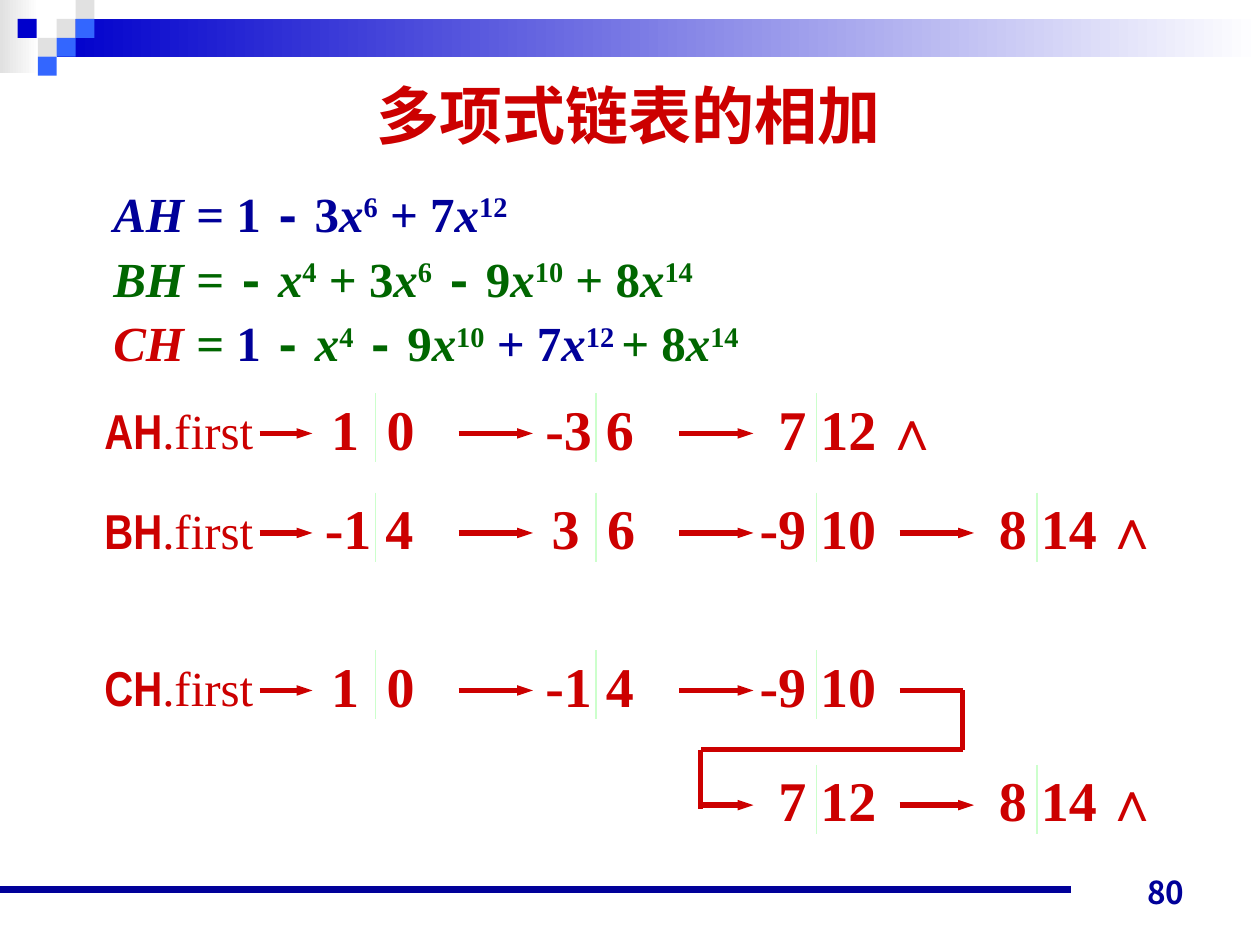
from dataclasses import dataclass
from itertools import pairwise

from lxml.etree import SubElement
from pptx import Presentation
from pptx.dml.color import RGBColor as Rgb
from pptx.enum.shapes import MSO_CONNECTOR as Conn, MSO_SHAPE as Shape
from pptx.enum.text import MSO_ANCHOR as Anchor, MSO_AUTO_SIZE as Auto, PP_ALIGN as Align
from pptx.oxml.ns import qn
from pptx.util import Pt


@dataclass(frozen=True)
class Theme:
    """Colours, fonts and type sizes of the deck."""
    red: str = "CC0000"
    green: str = "006600"
    navy: str = "000099"
    blue: str = "0000CC"
    sky: str = "3366FF"
    grey: str = "E1E1E1"
    mint: str = "CCFFCC"
    white: str = "FFFFFF"
    serif: str = "Times New Roman"
    sans: str = "Arial"
    slim: str = "Arial Narrow"
    mono: str = "Courier New"
    cjk: str = "Noto Sans CJK JP"
    title: int = 36
    node: int = 32
    body: int = 28
    page: int = 18


T = Theme()
SCALE = 9144
PITCH = 175
NODE = {(False, False): (-45, 95), (True, False): (-50, 100),
        (True, True): (-55, 120), (False, True): (-40, 105)}
STYLE = {"n": {}, "i": {"italic": True}, "s": {"base": 30}, "m": {"font": T.mono}}
SUMS = [
    [(T.navy, "i:AH|n: = 1 |m:-|n: 3|i:x|s:6|n: + 7|i:x|s:12")],
    [(T.green, "i:BH|n: = |m:-|n: |i:x|s:4|n: + 3|i:x|s:6|n: |m:-|n: 9|i:x|s:10|n: + 8|i:x|s:14")],
    [(T.red, "i:CH "), (T.green, "n:= "), (T.navy, "n:1 "),
     (T.green, "m:-|n: |i:x|s:4|n: |m:-|n: 9|i:x|s:10"),
     (T.navy, "n: + 7|i:x|s:12 "), (T.green, "n:+ 8|i:x|s:14")],
]


def px(*vals):
    """Turn px lengths into EMU."""
    return [round(v * SCALE) for v in vals]


def write(para, text, size=T.body, color=T.red, font=T.serif, bold=True, italic=False, base=0):
    """Add one formatted run to a paragraph."""
    run = para.add_run()
    run.text = text
    face = run.font
    face.size, face.name, face.bold, face.italic = Pt(size), font, bold, italic
    face.color.rgb = Rgb.from_string(color)
    props = run._r.get_or_add_rPr()
    if base:
        props.set("baseline", str(base * 1000))
    if font in (T.sans, T.cjk):
        SubElement(props, qn("a:ea")).set("typeface", T.cjk)


def label(slide, box, wrap=False, anchor=Anchor.TOP):
    """Add a text box and return its first paragraph."""
    frame = slide.shapes.add_textbox(*px(*box)).text_frame
    frame.word_wrap, frame.vertical_anchor = wrap, anchor
    return frame.paragraphs[0]


def block(slide, box, *fill):
    """Add a plain rectangle with a solid or two-stop fill."""
    shape = slide.shapes.add_shape(Shape.RECTANGLE, *px(*box))
    shape.shadow.inherit = False
    shape.line.fill.background()
    if len(fill) == 1:
        shape.fill.solid()
        shape.fill.fore_color.rgb = Rgb.from_string(fill[0])
        return
    shape.fill.gradient()
    shape.fill.gradient_angle = 0
    for stop, color in zip(shape.fill.gradient_stops, fill):
        stop.color.rgb = Rgb.from_string(color)


def line(slide, start, end, color=T.red, width=3, head=False):
    """Draw a straight line, with a slim arrowhead if asked."""
    link = slide.shapes.add_connector(Conn.STRAIGHT, *px(*start, *end))
    link.line.color.rgb = Rgb.from_string(color)
    link.line.width = Pt(width)
    if head:
        tip = SubElement(link.line._get_or_add_ln(), qn("a:tailEnd"))
        tip.set("type", "triangle")
        tip.set("w", "sm")
    SubElement(link._element.spPr, qn("a:effectLst"))


def banner(slide, x, y):
    """Draw the top bar and its mosaic of squares."""
    block(slide, (x, y, 31, 58), T.grey, T.white)
    block(slide, (x + 45, y + 15, 955, 30), T.blue, T.white)
    for col, row, color in [(3, 1, T.grey), (4, 0, T.grey), (4, 1, T.sky), (2, 2, T.grey),
                            (1, 1, T.blue), (3, 2, T.sky), (2, 3, T.sky)]:
        block(slide, (x + 15 * col - (col == 1), y + 15 * row, 15, 15), color)


def footer(slide, x, y):
    """Draw the bottom rule and the page number."""
    line(slide, (x, y), (x + 850, y), T.navy, 4.5)
    para = label(slide, (x + 717, y - 28, 233, 50), True, Anchor.BOTTOM)
    para.alignment = Align.RIGHT
    write(para, "80", size=T.page, color=T.navy, font=T.cjk)


def place(shape, box):
    """Move a placeholder and return its text frame."""
    shape.left, shape.top, shape.width, shape.height = px(*box)
    frame = shape.text_frame
    frame.word_wrap, frame.auto_size = True, Auto.NONE
    return frame


def heading(slide, box):
    """Fill the title placeholder."""
    frame = place(slide.shapes.title, box)
    frame.vertical_anchor = Anchor.MIDDLE
    para = frame.paragraphs[0]
    para.alignment = Align.CENTER
    write(para, "多项式链表的相加", size=T.title, font=T.sans)


def formulas(slide, box):
    """Fill the body placeholder with the polynomials."""
    frame = place(slide.placeholders[1], box)
    for num, parts in enumerate(SUMS):
        para = frame.add_paragraph() if num else frame.paragraphs[0]
        para.line_spacing, para.space_before = 1.1, Pt(0)
        props = para._p.get_or_add_pPr()
        props.set("marL", str(px(38)[0]))
        props.set("indent", str(px(-38)[0]))
        SubElement(props, qn("a:buNone"))
        for color, text in parts:
            for part in text.split("|"):
                kind, word = part.split(":")
                write(para, word, color=color, **STYLE[kind])


def node(slide, x, y, coef, exp):
    """Place one term around its divider at x."""
    line(slide, (x, y), (x, y + 55), T.mint, 0.75)
    neg, wide = coef < 0, exp > 9
    shift, width = NODE[neg, wide]
    para = label(slide, (x + shift, y - 4, width, 63))
    gap = " " if neg or wide else "\t"
    if gap == "\t":
        tabs = SubElement(para._p.get_or_add_pPr(), qn("a:tabLst"))
        tab = SubElement(tabs, qn("a:tab"))
        tab.set("pos", str(px(44)[0]))
        tab.set("algn", "l")
    write(para, f"{coef}{gap}{exp}", size=T.node)


def chain(slide, x, y, terms, name="", ends=True):
    """Draw a linked list whose first divider is at x."""
    mid = y + 32
    if name:
        para = label(slide, (x - 225, y + 1, 139, 57))
        write(para, name, font=T.slim)
        write(para, ".first", bold=False)
    line(slide, (x - 92, mid), (x - 50, mid), head=True)
    for num, (coef, exp) in enumerate(terms):
        left = x + num * PITCH
        node(slide, left, y, coef, exp)
        if num < len(terms) - 1:
            line(slide, (left + 66, mid), (left + 125, mid), head=True)
    if ends:
        write(label(slide, (left + 44, y - 4, 47, 63)), "∧", size=T.node)


def lists(slide, x, y):
    """Draw the three linked lists and the bend in the last."""
    chain(slide, x, y, [(1, 0), (-3, 6), (7, 12)], "AH")
    chain(slide, x, y + 79, [(-1, 4), (3, 6), (-9, 10), (8, 14)], "BH")
    chain(slide, x, y + 204, [(1, 0), (-1, 4), (-9, 10)], "CH", ends=False)
    chain(slide, x + 2 * PITCH, y + 295, [(7, 12), (8, 14)])
    bend = [(416, 236), (466, 236), (466, 283), (258, 283), (258, 330)]
    for start, end in pairwise((x + dx, y + dy) for dx, dy in bend):
        line(slide, start, end)


def main():
    """Build and save the deck."""
    deck = Presentation()
    deck.slide_width, deck.slide_height = px(1000, 750)
    slide = deck.slides.add_slide(deck.slide_layouts[1])
    banner(slide, 0, 0)
    footer(slide, 0, 706)
    lists(slide, 298, 312)
    heading(slide, (49, 48, 900, 86))
    formulas(slide, (80, 136, 900, 425))
    deck.save("out.pptx")


if __name__ == "__main__":
    main()
